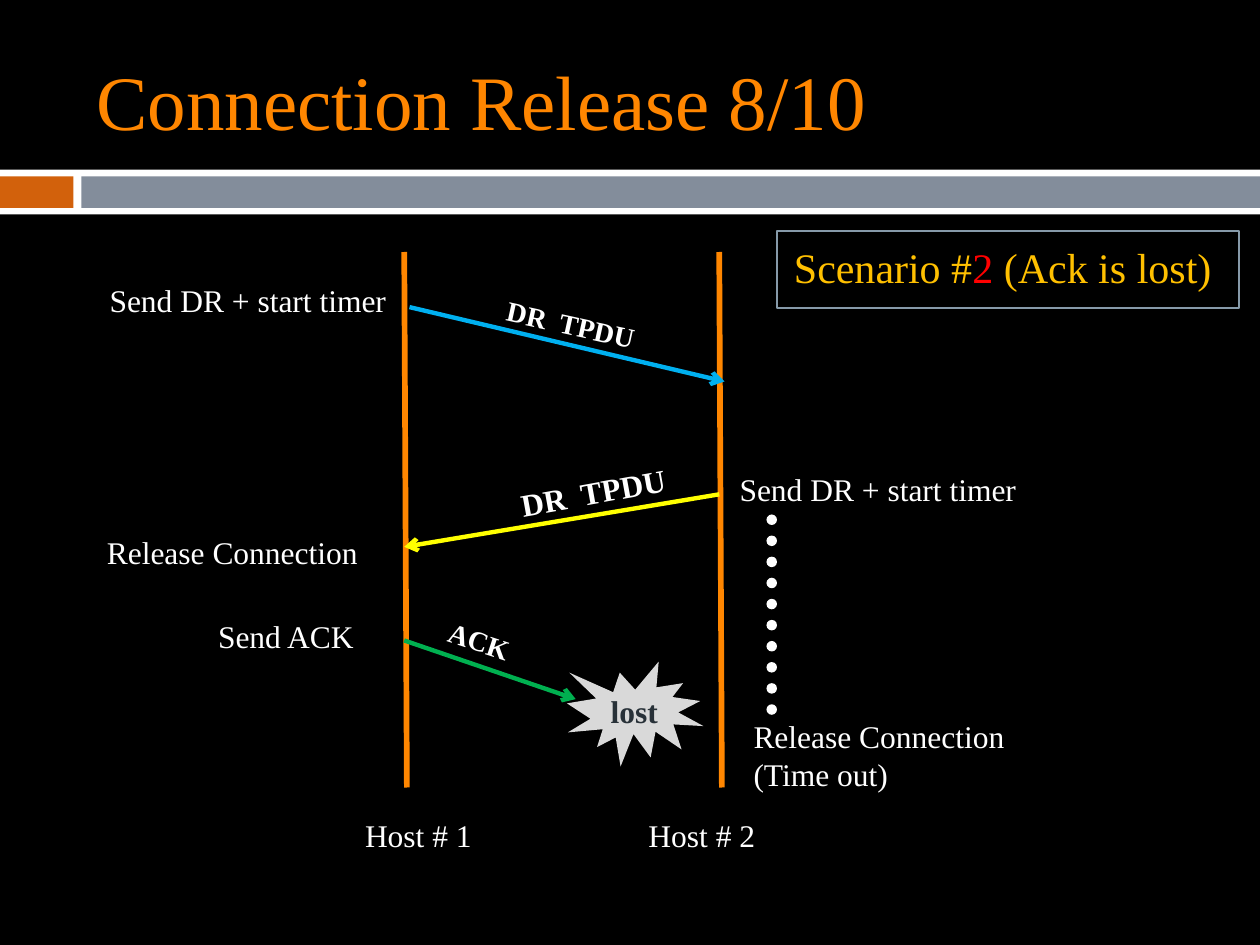
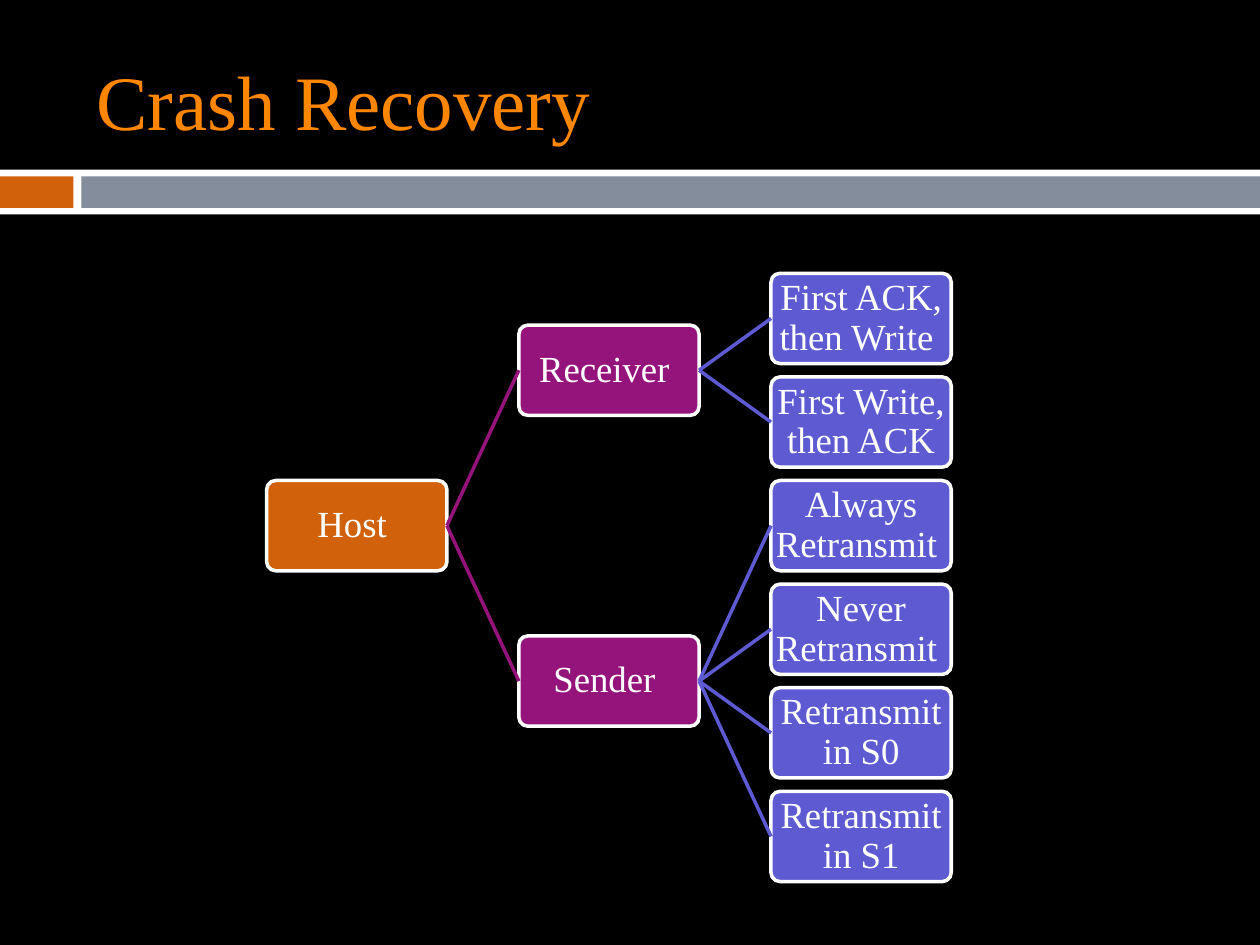
from lxml import etree
from pptx import Presentation
from pptx.dml.color import RGBColor
from pptx.enum import shapes, text
from pptx.oxml import ns
from pptx.util import Pt

BLACK = RGBColor(0x00, 0x00, 0x00)
WHITE = RGBColor(0xFF, 0xFF, 0xFF)
ORANGE = RGBColor(0xFF, 0x86, 0x00)
RUST = RGBColor(0xD2, 0x61, 0x0C)
SLATE = RGBColor(0x83, 0x8D, 0x9B)
NOTE_BORDER = RGBColor(0x86, 0x9A, 0xA9)
GOLD = RGBColor(0xFF, 0xC0, 0x00)
RED = RGBColor(0xFF, 0x00, 0x00)
GREEN = RGBColor(0x00, 0xB0, 0x50)
YELLOW = RGBColor(0xFF, 0xFF, 0x00)
SKY = RGBColor(0x00, 0xB0, 0xF0)
SILVER = RGBColor(0xD9, 0xD9, 0xD9)
CHARCOAL = RGBColor(0x28, 0x31, 0x38)
PLUM = RGBColor(0x94, 0x14, 0x7C)
VIOLET = RGBColor(0x5D, 0x5A, 0xD2)

FONT = "Times New Roman"
SHAPE = shapes.MSO_SHAPE
CENTER = text.PP_ALIGN.CENTER
MIDDLE = text.MSO_ANCHOR.MIDDLE

LEVEL_COLORS = [RUST, PLUM, VIOLET]
HOST_TREE = ("Host ", [
    ("Receiver ", [
        ("First ACK, then Write ", []),
        ("First Write, then ACK", []),
    ]),
    ("Sender ", [
        ("Always Retransmit ", []),
        ("Never Retransmit ", []),
        ("Retransmit in S0", []),
        ("Retransmit in S1", []),
    ]),
])


def add_run(paragraph, words, size, color=WHITE, bold=False):
    run = paragraph.add_run()
    run.text = words
    run.font.name = FONT
    run.font.size = Pt(size)
    run.font.bold = bold
    run.font.color.rgb = color


def add_box(slide, kind, left, top, width, height, fill=None, border=None, weight=1):
    box = slide.shapes.add_shape(kind, Pt(left), Pt(top), Pt(width), Pt(height))
    box.shadow.inherit = False
    if fill is None:
        box.fill.background()
    else:
        box.fill.solid()
        box.fill.fore_color.rgb = fill
    if border is None:
        box.line.fill.background()
    else:
        box.line.color.rgb = border
        box.line.width = Pt(weight)
    return box


def add_line(slide, start, end, color, weight, arrow=False):
    line = slide.shapes.add_connector(
        shapes.MSO_CONNECTOR.STRAIGHT, *(Pt(value) for value in start + end))
    line.line.color.rgb = color
    line.line.width = Pt(weight)
    if arrow:
        etree.SubElement(line.line._get_or_add_ln(), ns.qn("a:tailEnd"), type="arrow")
    etree.SubElement(line._element.spPr, ns.qn("a:effectLst"))


def add_label(slide, lines, left, top, width, size=18, angle=0, bold=False):
    height = 14 + 20 * size / 18 * len(lines) - 5
    label = slide.shapes.add_textbox(Pt(left), Pt(top), Pt(width), Pt(height))
    label.rotation = angle
    frame = label.text_frame
    frame.word_wrap = False
    frame.auto_size = text.MSO_AUTO_SIZE.SHAPE_TO_FIT_TEXT
    for index, words in enumerate(lines):
        paragraph = frame.add_paragraph() if index else frame.paragraphs[0]
        add_run(paragraph, words, size, bold=bold)


def add_framed_slide(deck, heading):
    slide = deck.slides.add_slide(deck.slide_layouts[6])
    slide.background.fill.solid()
    slide.background.fill.fore_color.rgb = BLACK
    for left, top, width, height, color in [
        (0, 97, 720, 25.5, WHITE),
        (0, 100.8, 42, 18, RUST),
        (46.5, 100.8, 673.5, 18, SLATE),
    ]:
        add_box(slide, SHAPE.RECTANGLE, left, top, width, height, color)
    title = slide.shapes.add_textbox(Pt(48), Pt(18), Pt(642), Pt(78))
    title.text_frame.word_wrap = True
    title.text_frame.vertical_anchor = MIDDLE
    add_run(title.text_frame.paragraphs[0], heading, 44, ORANGE)
    return slide


def draw_scenario(slide, left, top, width, height):
    note = add_box(slide, SHAPE.RECTANGLE, left, top, width, height,
                   border=NOTE_BORDER, weight=0.75)
    frame = note.text_frame
    frame.word_wrap = True
    frame.vertical_anchor = text.MSO_ANCHOR.TOP
    frame.margin_top = Pt(6)
    paragraph = frame.paragraphs[0]
    paragraph.alignment = CENTER
    for words, color in [("Scenario #", GOLD), ("2", RED), (" (Ack is lost) ", GOLD)]:
        add_run(paragraph, words, 24, color)


def draw_exchange(slide, left, top, height):
    first_host, second_host = left + 177, left + 357
    for host in (first_host, second_host):
        add_line(slide, (host, top), (host + 1.5, top + height), ORANGE, 3.25)

    for start_x, start_y, end_x, end_y, color in [
        (180, 31.5, 360, 74, SKY),
        (357, 138.5, 177, 168.5, YELLOW),
        (177, 222, 275, 255.5, GREEN),
    ]:
        add_line(slide, (left + start_x, top + start_y), (left + end_x, top + end_y),
                 color, 2.5, arrow=True)

    for message, x, y, width, size, angle in [
        ("DR  TPDU", 228, 28, 89.5, 16, 12.4),
        ("DR  TPDU", 236, 122.5, 99, 18, -10.3),
        ("ACK", 195, 209, 50.5, 16, 18.1),
    ]:
        add_label(slide, [message], left + x, top + y, width, size, angle, bold=True)

    for lines, x, y, width in [
        (["Send DR + start timer"], 1.5, 13, 178.5),
        (["Send DR + start timer"], 361.5, 121, 178.5),
        (["Release Connection"], 0, 157, 168.5),
        (["Send ACK"], 63.5, 205, 93),
        (["Release Connection", "(Time out)"], 369.5, 262, 159),
        (["Host # 1"], 147.5, height + 13, 76.5),
        (["Host # 2"], 309.5, height + 13, 80.5),
    ]:
        add_label(slide, lines, left + x, top + y, width)

    burst = add_box(slide, SHAPE.EXPLOSION1, left + 270, top + 234, 78, 60, SILVER)
    burst.text_frame.word_wrap = False
    burst.text_frame.vertical_anchor = MIDDLE
    burst.text_frame.paragraphs[0].alignment = CENTER
    add_run(burst.text_frame.paragraphs[0], "lost", 18, CHARCOAL, bold=True)

    for tick in range(10):
        add_box(slide, SHAPE.OVAL, left + 384, top + 150 + 12.05 * tick, 6, 6, WHITE)


def draw_tree(slide, left, top, width, height):
    node_width, node_height = 103, 51.6
    column_step = (width - node_width) / 2
    row_step = (height - node_height) / 5

    def draw_branch(branch, level, first_row):
        words, children = branch
        color = LEVEL_COLORS[level]
        child_rows, next_row = [], first_row
        for child in children:
            row, next_row = draw_branch(child, level + 1, next_row)
            child_rows.append(row)
        if children:
            row = (child_rows[0] + child_rows[-1]) / 2
        else:
            row, next_row = first_row, first_row + 1

        x, y = left + level * column_step, top + row * row_step
        node = add_box(slide, SHAPE.ROUNDED_RECTANGLE, x, y,
                       node_width, node_height, color, WHITE, 2)
        node.adjustments[0] = 0.1
        frame = node.text_frame
        frame.word_wrap = True
        frame.vertical_anchor = MIDDLE
        frame.margin_left = frame.margin_right = Pt(0.7)
        frame.margin_top = frame.margin_bottom = Pt(0.7)
        paragraph = frame.paragraphs[0]
        paragraph.alignment = CENTER
        paragraph.line_spacing = 0.9
        add_run(paragraph, words, 21)

        for child_row in child_rows:
            child_y = top + child_row * row_step
            add_line(slide, (x + node_width, y + node_height / 2),
                     (x + column_step, child_y + node_height / 2),
                     LEVEL_COLORS[level + 1], 2)
        return row, next_row

    draw_branch(HOST_TREE, 0, 0)


def main():
    deck = Presentation()
    deck.slide_width, deck.slide_height = Pt(720), Pt(540)

    release = add_framed_slide(deck, "Connection Release 8/10")
    draw_scenario(release, 444, 132, 264, 44)
    draw_exchange(release, 54, 144, 306)

    recovery = add_framed_slide(deck, "Crash Recovery")
    draw_tree(recovery, 152.4, 156.2, 391.2, 347.6)

    deck.save("out.pptx")


if __name__ == "__main__":
    main()
